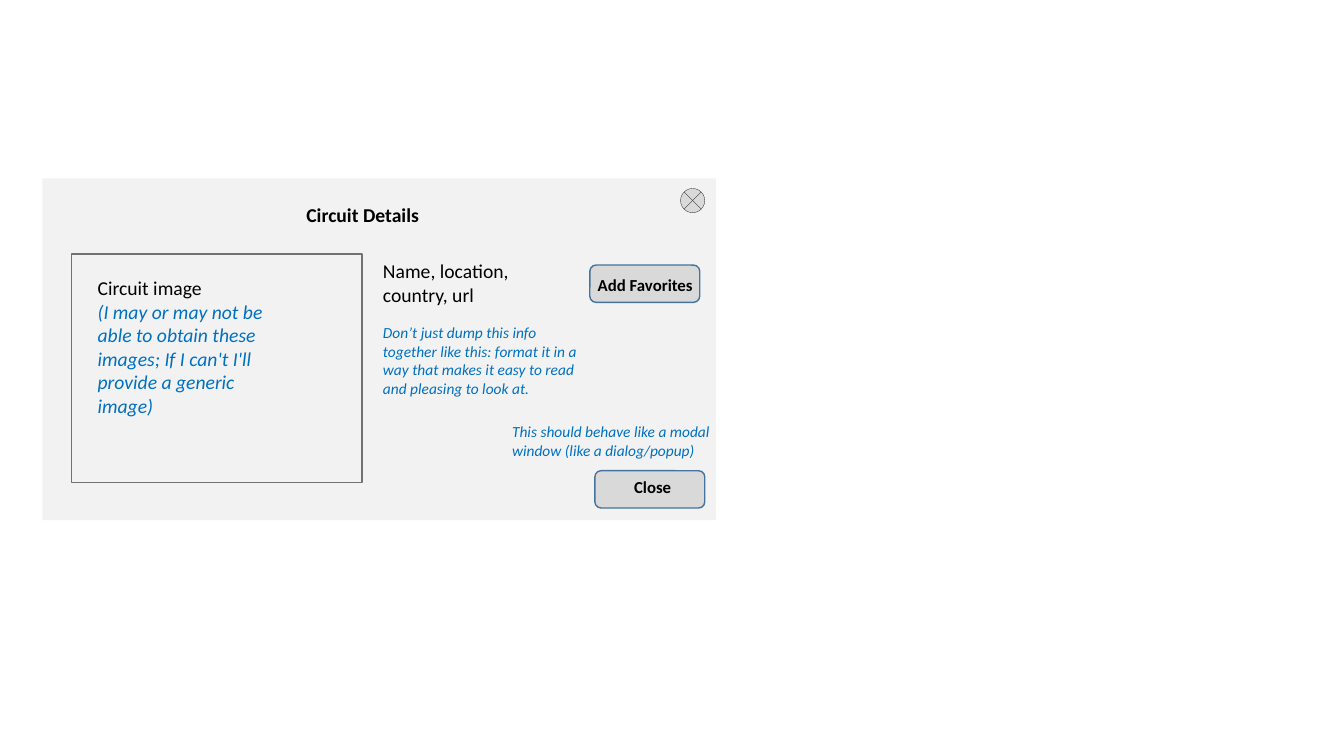
from pptx import Presentation
from pptx import util as u
from pptx.dml.color import RGBColor
from pptx.enum import shapes, text

PX = 9144  # 100 px to the inch
COLORS = {
    "panel": "F2F2F2",
    "button": "D9D9D9",
    "button_line": "43739E",
    "frame_line": "767171",
    "close_line": "3B3838",
    "label": "000000",
    "note": "0070C0",
}
SHAPE = shapes.MSO_SHAPE

presentation = Presentation()
presentation.slide_width = u.Emu(1333 * PX)
presentation.slide_height = u.Emu(750 * PX)
slide = presentation.slides.add_slide(presentation.slide_layouts[6])


def add_box(kind, box, fill=None, line=None, width=1):
    shape = slide.shapes.add_shape(kind, *[u.Emu(n * PX) for n in box])
    shape.shadow.inherit = False
    if fill:
        shape.fill.solid()
        shape.fill.fore_color.rgb = RGBColor.from_string(COLORS[fill])
    else:
        shape.fill.background()
    if line:
        shape.line.color.rgb = RGBColor.from_string(COLORS[line])
        shape.line.width = u.Pt(width)
    else:
        shape.line.fill.background()


def add_text(box, lines, size, bold=False, wrap=True):
    """Each line is (wording, colour name); notes are set in italics."""
    frame = slide.shapes.add_textbox(*[u.Emu(n * PX) for n in box]).text_frame
    frame.word_wrap = wrap
    frame.auto_size = text.MSO_AUTO_SIZE.SHAPE_TO_FIT_TEXT
    for index, (wording, color) in enumerate(lines):
        paragraph = frame.add_paragraph() if index else frame.paragraphs[0]
        run = paragraph.add_run()
        run.text = wording
        run.font.name = "Calibri"
        run.font.size = u.Pt(size)
        run.font.bold = bold
        run.font.italic = color == "note"
        run.font.color.rgb = RGBColor.from_string(COLORS[color])


# Dialog panel, title and circuit name
add_box(SHAPE.RECTANGLE, (42, 177, 668, 339), "panel")
add_text((294, 196, 175, 34), [("Circuit Details", "label")], 14, bold=True)
add_text((370, 252, 175, 57), [("Name, location, country, url", "label")], 14)

# Image frame
add_box(SHAPE.RECTANGLE, (71, 252, 288, 227), line="frame_line")
add_text((87, 269, 213, 175), [
    ("Circuit image", "label"),
    ("(I may or may not be able to obtain these images; "
     "If I can't I'll provide a generic image)", "note"),
], 14)

# Buttons
for button, label_box, label in [
    ((585, 263, 109, 37), (583, 268, 115, 30), "Add Favorites"),
    ((590, 467, 109, 37), (619, 468, 58, 30), "Close"),
]:
    add_box(SHAPE.ROUNDED_RECTANGLE, button, "button", "button_line")
    add_text(label_box, [(label, "label")], 12, bold=True, wrap=False)

# Design notes
add_text((498, 414, 228, 47), [
    ("This should behave like a modal window (like a dialog/popup)", "note"),
], 11)
add_text((370, 316, 228, 84), [
    ("Don’t just dump this info together like this: format it in a way "
     "that makes it easy to read and pleasing to look at.", "note"),
], 11)

# Close icon
add_box(SHAPE.FLOWCHART_SUMMING_JUNCTION, (675, 187, 24, 24),
        "button", "close_line", 0.25)

presentation.save("out.pptx")
